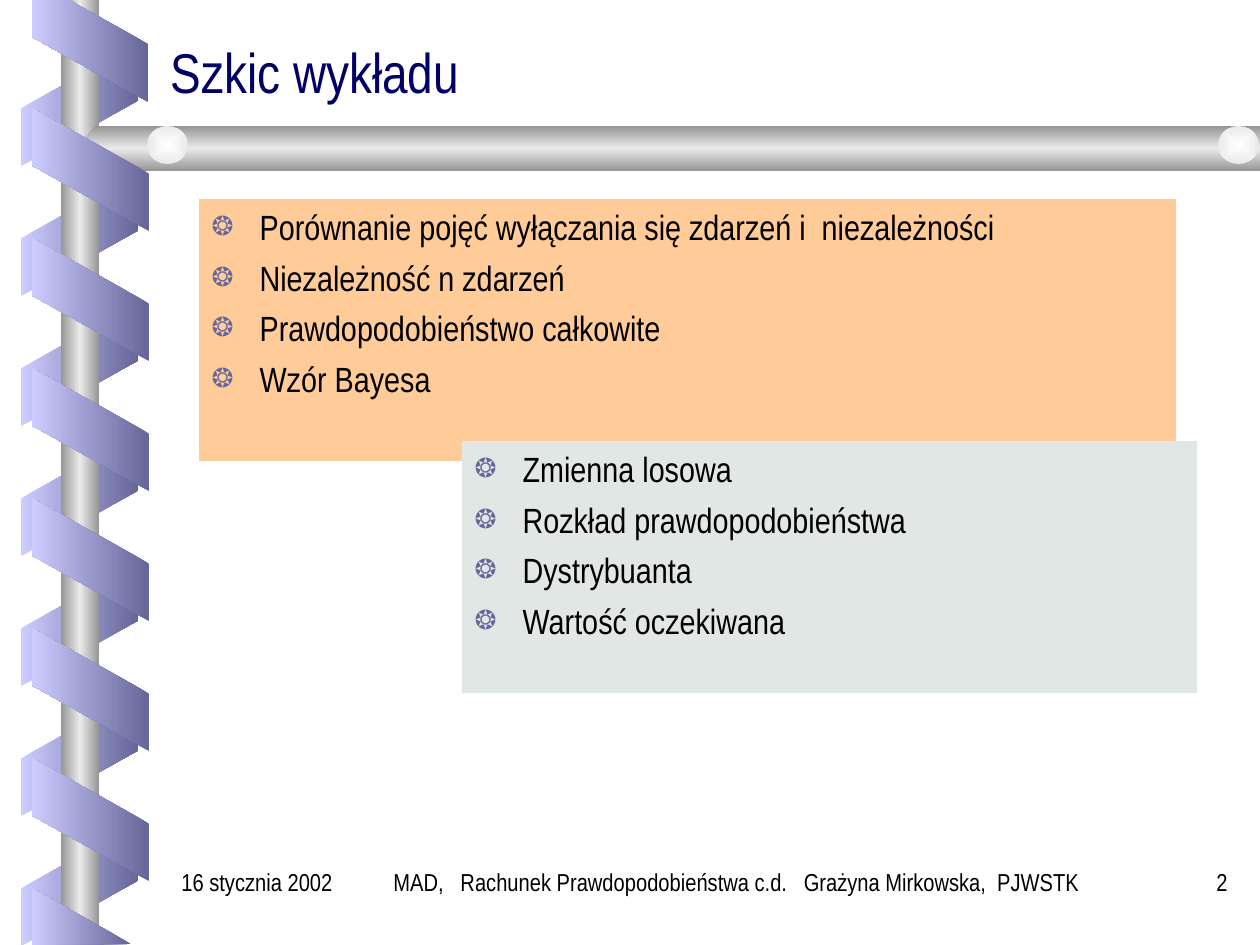
from dataclasses import dataclass
from lxml import etree
from pptx import Presentation
from pptx.dml.color import RGBColor
from pptx.enum.shapes import MSO_SHAPE as SHAPE
from pptx.enum.text import MSO_ANCHOR as ANCHOR, MSO_AUTO_SIZE as AUTO, PP_ALIGN as ALIGN
from pptx.oxml.ns import qn
from pptx.util import Pt

PX = 914400 / 126


def emu(px):
    return round(px * PX)


@dataclass(frozen=True)
class Theme:
    font: str = "Arial Narrow"
    title: str = "000066"
    text: str = "000000"
    bullet: str = "666699"
    events: str = "FFCC99"
    variables: str = "E1E7E4"
    back: tuple = ("CCCCFF", "666699")
    front: tuple = ("666699", "CCCCFF")
    metal: tuple = ("969696", "EAEAEA", "969696")
    knob: tuple = ("FEFFFF", "EAEAEA")
    title_size: int = 32
    body_size: int = 20
    footer_size: int = 14


class Deck:
    def __init__(self, theme):
        self.th = theme
        self.prs = Presentation()
        self.prs.slide_width, self.prs.slide_height = emu(1260), emu(945)
        self.s = self.prs.slides.add_slide(self.prs.slide_layouts[3])

    def place(self, sp, x, y, w, h):
        sp.left, sp.top, sp.width, sp.height = map(emu, (x, y, w, h))

    def frame(self, sp, anchor=ANCHOR.TOP):
        tf = sp.text_frame
        tf.word_wrap = True
        tf.auto_size = AUTO.NONE
        tf.vertical_anchor = anchor
        return tf

    def run(self, p, text, size, color):
        r = p.add_run()
        r.text = text
        r.font.name = self.th.font
        r.font.size = Pt(size)
        r.font.color.rgb = RGBColor.from_string(color)

    def gradient(self, sp, colors, angle=None):
        sp.shadow.inherit = False
        sp.line.fill.background()
        sp.fill.background()
        spPr = sp._element.spPr
        grad = etree.Element(qn("a:gradFill"), rotWithShape="0")
        stops = etree.SubElement(grad, qn("a:gsLst"))
        for i, color in enumerate(colors):
            pos = str(100000 * i // (len(colors) - 1))
            gs = etree.SubElement(stops, qn("a:gs"), pos=pos)
            etree.SubElement(gs, qn("a:srgbClr"), val=color)
        if angle is None:
            rect = etree.SubElement(grad, qn("a:path"), path="rect")
            etree.SubElement(rect, qn("a:fillToRect"), dict.fromkeys("ltrb", "50000"))
        else:
            etree.SubElement(grad, qn("a:lin"), ang=str(angle * 60000), scaled="0")
        spPr.replace(spPr.find(qn("a:noFill")), grad)

    def shape(self, kind, box, colors, angle=None):
        sp = self.s.shapes.add_shape(kind, *map(emu, box))
        self.gradient(sp, colors, angle)
        return sp

    def ribbon(self, x, y, colors, rotation, flip=False):
        sp = self.shape(SHAPE.PARALLELOGRAM, (x, y, 123, 117), colors, 180)
        sp.adjustments[0] = 0.56
        sp.rotation = rotation
        if flip:
            sp._element.spPr.get_or_add_xfrm().set("flipH", "1")

    def outline(self, points, colors, angle):
        fb = self.s.shapes.build_freeform(*points[0], scale=PX)
        fb.add_line_segments(points[1:], close=True)
        self.gradient(fb.convert_to_shape(), colors, angle)

    def title(self, text, box):
        sp = self.s.shapes.title
        self.place(sp, *box)
        p = self.frame(sp, ANCHOR.BOTTOM).paragraphs[0]
        p.alignment = ALIGN.LEFT
        p.line_spacing = 0.8
        self.run(p, text, self.th.title_size, self.th.title)

    def bullet(self, p):
        pPr = p._p.get_or_add_pPr()
        pPr.set("marL", str(emu(48)))
        pPr.set("indent", str(-emu(48)))
        color = etree.SubElement(pPr, qn("a:buClr"))
        etree.SubElement(color, qn("a:srgbClr"), val=self.th.bullet)
        etree.SubElement(pPr, qn("a:buSzPct"), val="75000")
        etree.SubElement(pPr, qn("a:buChar"), char="❂")

    def bullets(self, idx, items, box, fill):
        sp = self.s.placeholders[idx]
        self.place(sp, *box)
        sp.fill.solid()
        sp.fill.fore_color.rgb = RGBColor.from_string(fill)
        tf = self.frame(sp)
        for i, item in enumerate(items):
            p = tf.add_paragraph() if i else tf.paragraphs[0]
            self.bullet(p)
            p.space_before = Pt(5 if i else 0)
            self.run(p, item, self.th.body_size, self.th.text)

    def footer(self, text, box, align):
        sp = self.s.shapes.add_textbox(*map(emu, box))
        p = self.frame(sp).paragraphs[0]
        p.alignment = align
        self.run(p, text, self.th.footer_size, self.th.text)


def main():
    th = Theme()
    deck = Deck(th)
    pitch = 130

    for i in range(7):
        deck.ribbon(18, 46 + pitch * i, th.back, 90, flip=True)
    deck.shape(SHAPE.RECTANGLE, (61, 0, 38, 945), th.metal, 180)
    deck.outline([(1260, 126), (96, 126), (76, 149), (96, 171), (1260, 171)], th.metal, 90)
    for x in (147, 1218):
        deck.shape(SHAPE.OVAL, (x, 126, 41, 38), th.knob)
    for i in range(6):
        deck.ribbon(29, 111 + pitch * i, th.front, 270)
    deck.outline([(32, 0), (32, 37), (148, 102), (148, 44), (69, 0)], th.front, 180)
    deck.outline([(131, 944), (32, 888), (32, 945)], th.front, 180)

    deck.title("Szkic wykładu", (158, 32, 1071, 79))
    deck.bullets(1, [
        "Porównanie pojęć wyłączania się zdarzeń i  niezależności",
        "Niezależność n zdarzeń",
        "Prawdopodobieństwo całkowite",
        "Wzór Bayesa",
    ], (199, 199, 977, 262), th.events)
    deck.bullets(2, [
        "Zmienna losowa",
        "Rozkład prawdopodobieństwa",
        "Dystrybuanta",
        "Wartość oczekiwana",
    ], (462, 441, 735, 252), th.variables)

    deck.footer("MAD,   Rachunek Prawdopodobieństwa c.d.   Grażyna Mirkowska,  PJWSTK ",
                (325, 861, 829, 63), ALIGN.CENTER)
    deck.footer("2", (1134, 861, 106, 63), ALIGN.RIGHT)
    deck.footer("16 stycznia 2002", (169, 861, 178, 63), ALIGN.LEFT)
    deck.prs.save("out.pptx")


if __name__ == "__main__":
    main()
